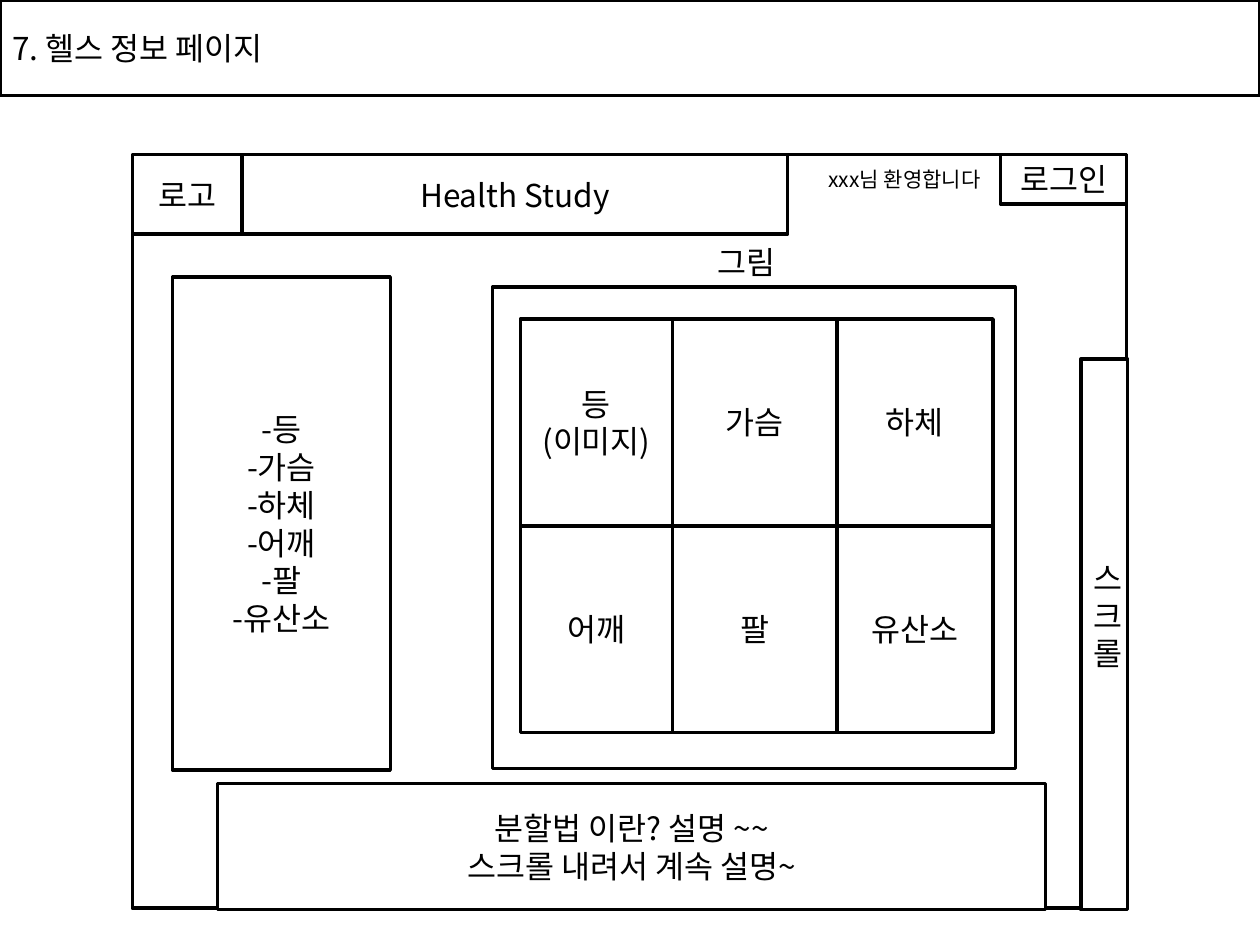
from itertools import product
from lxml.etree import SubElement
from pptx import Presentation
from pptx.dml.color import RGBColor
from pptx.enum.shapes import MSO_SHAPE as Shape
from pptx.enum.text import MSO_ANCHOR as Anchor, PP_ALIGN as Align
from pptx.oxml.ns import qn
from pptx.util import Cm, Pt


def color(value):
    return RGBColor.from_string(value)


class Wireframe:
    font = "Noto Sans CJK KR"
    ink = "000000"
    paper = "FFFFFF"

    def __init__(self, slide):
        self.slide = slide

    def set_text(self, shape, lines, size, align, anchor):
        frame = shape.text_frame
        frame.word_wrap = True
        frame.vertical_anchor = anchor
        for index, line in enumerate(lines):
            paragraph = frame.add_paragraph() if index else frame.paragraphs[0]
            paragraph.text = line
            paragraph.alignment = align
            paragraph.font.size = Pt(size)
            paragraph.font.name = self.font
            paragraph.font.color.rgb = color(self.ink)
            properties = paragraph._p.pPr.find(qn("a:defRPr"))
            SubElement(properties, qn("a:ea")).set("typeface", self.font)

    def box(self, left, top, width, height, *lines, align=Align.CENTER, filled=True):
        shape = self.slide.shapes.add_shape(
            Shape.RECTANGLE, Cm(left), Cm(top), Cm(width), Cm(height))
        shape.shadow.inherit = False
        if filled:
            shape.fill.solid()
            shape.fill.fore_color.rgb = color(self.paper)
        else:
            shape.fill.background()
        shape.line.color.rgb = color(self.ink)
        shape.line.width = Pt(2)
        self.set_text(shape, lines, 18, align, Anchor.MIDDLE)
        return shape

    def label(self, left, top, width, height, text, size=18,
              align=Align.LEFT, anchor=Anchor.TOP):
        shape = self.slide.shapes.add_textbox(Cm(left), Cm(top), Cm(width), Cm(height))
        self.set_text(shape, [text], size, align, anchor)


presentation = Presentation()
presentation.slide_width = Cm(25.4)
presentation.slide_height = Cm(19.05)
wireframe = Wireframe(presentation.slides.add_slide(presentation.slide_layouts[6]))

wireframe.box(0, 0, 25.4, 1.93, "7. 헬스 정보\u00a0페이지", align=Align.LEFT, filled=False)
wireframe.box(2.67, 3.12, 20.04, 15.19, filled=False)
wireframe.box(2.67, 3.12, 2.22, 1.6, "로고", filled=False)
wireframe.label(15.49, 3.12, 4.62, 0.99, "xxx님 환영합니다 ", 12, Align.RIGHT, Anchor.MIDDLE)
wireframe.box(4.88, 3.12, 11, 1.6, "Health Study")
wireframe.box(20.17, 3.12, 2.54, 0.99, "로그인")

body_parts = ["등", "가슴", "하체", "어깨", "팔", "유산소"]
wireframe.box(3.48, 5.59, 4.39, 9.93, *[f"-{part}" for part in body_parts])

wireframe.label(14.07, 4.78, 3, 1.02, "\u00a0그림")
wireframe.box(9.93, 5.79, 10.54, 9.7)
columns = [(10.49, 3.07), (13.56, 3.31), (16.87, 3.15)]
row_height = 4.17
for part, (row, (left, width)) in zip(body_parts, product(range(2), columns)):
    lines = [part, "(이미지)"] if part == "등" else [part]
    wireframe.box(left, 6.43 + row * row_height, width, row_height, *lines)

wireframe.box(4.39, 15.8, 16.69, 2.54, "분할법 이란? 설명 ~~", "스크롤 내려서 계속 설명~")
scroll_bar = wireframe.box(21.79, 7.24, 0.94, 11.1, "스크롤")
scroll_bar.text_frame.margin_bottom = Cm(0.89)

presentation.save("out.pptx")
